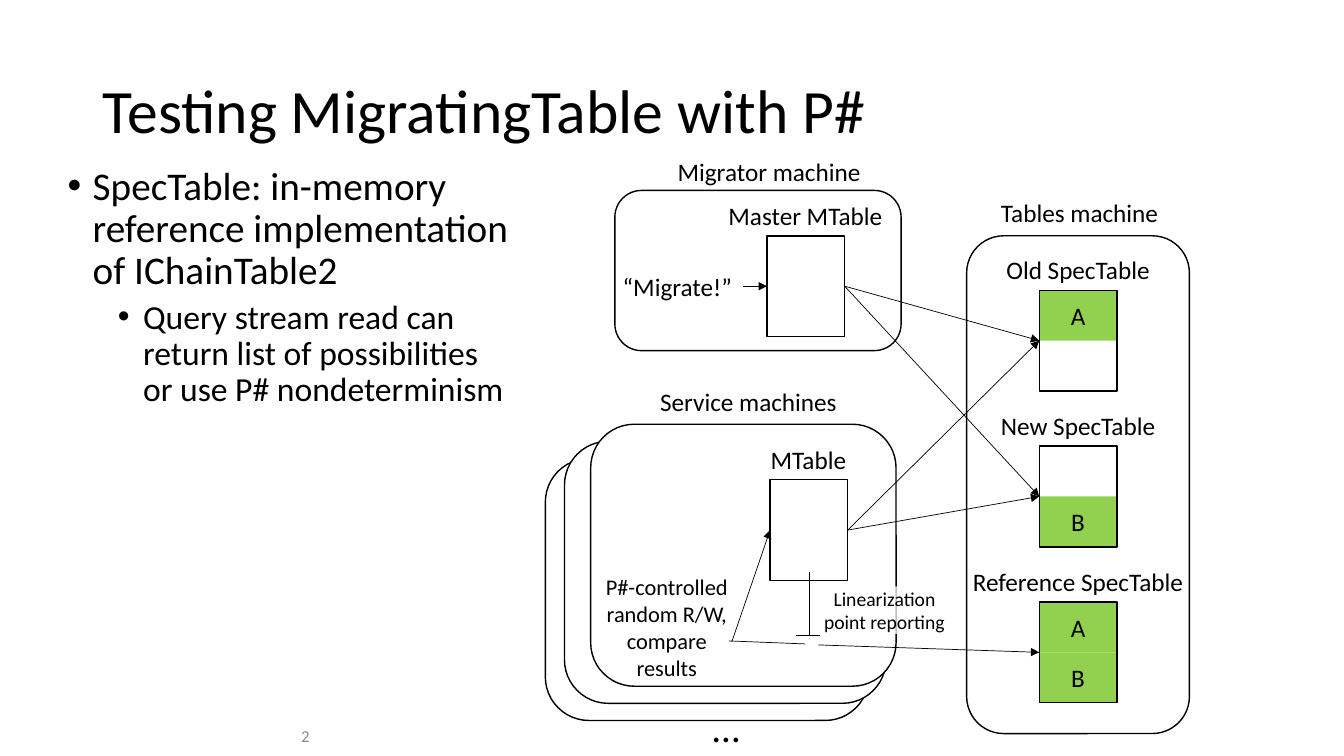
from lxml import etree
from pptx import Presentation
from pptx.dml.color import RGBColor
from pptx.enum.shapes import MSO_CONNECTOR as Link, MSO_SHAPE as Kind
from pptx.enum.text import MSO_ANCHOR as Anchor, MSO_AUTO_SIZE as Fit, PP_ALIGN as Align
from pptx.oxml.ns import qn
from pptx.util import Inches, Pt

BLACK = RGBColor(0, 0, 0)
WHITE = RGBColor(255, 255, 255)
GREEN = RGBColor(0x92, 0xD0, 0x50)
GRAY = RGBColor(0x8C, 0x8C, 0x8C)

deck = Presentation()
deck.slide_width, deck.slide_height = Inches(13.33), Inches(7.5)
slide = deck.slides.add_slide(deck.slide_layouts[1])
shapes = slide.shapes

# Grid of 40 columns by 22.5 rows
UNIT = deck.slide_width / 40


def write(shape, text, size=18, color=BLACK, align=Align.CENTER, anchor=Anchor.TOP,
          wrap=True, more=False, level=0, lead=None, before=0):
    frame = shape.text_frame
    frame.word_wrap, frame.auto_size = wrap, Fit.NONE
    frame.vertical_anchor = anchor
    para = frame.add_paragraph() if more else frame.paragraphs[0]
    para.level, para.alignment = level, align
    para.line_spacing, para.space_before = lead, Pt(before)
    run = para.add_run()
    run.text = text
    run.font.name, run.font.size = "Calibri", Pt(size)
    run.font.color.rgb = color
    return para


def draw(kind, left, top, width, height, fill=None, line=BLACK):
    place = [round(n * UNIT) for n in (left, top, width, height)]
    if kind is None:
        return shapes.add_textbox(*place)
    shape = shapes.add_shape(kind, *place)
    shape.shadow.inherit = False
    for part, color in ((shape.fill, fill), (shape.line.fill, line)):
        if color is None:
            part.background()
        else:
            part.solid()
            part.fore_color.rgb = color
    shape.line.width = Pt(1)
    return shape


# Title and list
title, body = shapes.title, slide.placeholders[1]
for holder, place in ((title, (2.76, 1.2, 34.5, 4.35)), (body, (1.71, 4.8, 13.92, 16.11))):
    holder.left, holder.top, holder.width, holder.height = [round(n * UNIT) for n in place]
write(title, "Testing MigratingTable with P#", size=44, align=Align.LEFT,
      anchor=Anchor.MIDDLE, lead=0.9)
points = [("SpecTable: in-memory reference implementation of IChainTable2", 28, 10, 0.25),
          ("Query stream read can return list of possibilities or use P# nondeterminism", 24, 5, 0.75)]
for level, (text, size, before, indent) in enumerate(points):
    para = write(body, text, size=size, align=Align.LEFT, more=level > 0,
                 level=level, lead=0.9, before=before)
    props = para._p.get_or_add_pPr()
    props.set("marL", str(Inches(indent)))
    props.set("indent", str(-Inches(0.25)))
    etree.SubElement(props, qn("a:buFont")).set("typeface", "Arial")
    etree.SubElement(props, qn("a:buChar")).set("char", "•")

# Machines, with the service cards stacked
for place in ((16.23, 13.65, 9.63, 7.8), (16.8, 13.14, 9.57, 7.8),
              (17.58, 12.63, 9.09, 7.8), (18.3, 5.67, 8.52, 4.77)):
    draw(Kind.ROUNDED_RECTANGLE, *place, fill=WHITE)
draw(Kind.ROUNDED_RECTANGLE, 28.77, 7.02, 6.63, 14.82)

# Spec tables, each of two halves
WIDE, TALL = 2.31, 3
HALF = TALL / 2
SPEC, FIRST, STEP = 30.93, 8.64, 4.64
for row, (name, cells) in enumerate([("Old SpecTable", "A "), ("New SpecTable", " B"),
                                     ("Reference SpecTable", "AB")]):
    top = FIRST + row * STEP
    for half, mark in enumerate(cells):
        if mark != " ":
            cell = draw(Kind.RECTANGLE, SPEC, top + half * HALF, WIDE, HALF, GREEN, None)
            write(cell, mark, anchor=Anchor.MIDDLE)
    draw(Kind.RECTANGLE, SPEC, top, WIDE, TALL)
    write(draw(None, SPEC - 2.31, top - 1.22, 3 * WIDE, 1.2), name, wrap=False)

# Migrating tables
MASTER, TABLE = (22.83, 7.02), (22.92, 14.28)
for spot in (MASTER, TABLE):
    draw(Kind.RECTANGLE, *spot, WIDE, TALL)

# Labels
for text, left, top, width, size in [
        ("Migrator machine", 19.83, 4.5, 6.12, 18), ("Master MTable", 21.36, 5.82, 5.22, 18),
        ("“Migrate!”", 18.21, 7.92, 3.9, 18), ("Service machines", 19.32, 11.34, 5.91, 18),
        ("MTable", 22.62, 13.08, 2.88, 18), ("Tables machine", 29.46, 5.73, 5.34, 18),
        ("…", 20.91, 20.79, 1.41, 28)]:
    write(draw(None, left, top, width, 1.2), text, size=size, wrap=False)
write(draw(None, 17.7, 16.92, 4.29, 3.54),
      "P#-controlled random R/W, compare results", size=16)
write(draw(None, 0.51, 21.3, 9, 1.2), "2", size=12, color=GRAY,
      align=Align.RIGHT, anchor=Anchor.MIDDLE)

# Arrows and plain lines
old, new, both = [(SPEC, FIRST + row * STEP + HALF) for row in range(3)]
goal, start = [(x, y + HALF) for x, y in (MASTER, TABLE)]
links = [((x + WIDE, y), end, True) for x, y in (goal, start) for end in (old, new)]
links += [((22.11, goal[1]), goal, True), ((21.78, 19.11), start, True),
          ((24.36, 19.2), both, True), ((21.69, 19.08), (23.97, 19.17), False),
          ((23.7, 18.9), (24.39, 18.9), False), ((24.09, 18.9), (24.09, 17.04), False)]
for tail, head, arrow in links:
    link = shapes.add_connector(Link.STRAIGHT, *[round(n * UNIT) for n in tail + head])
    link.line.color.rgb, link.line.width = BLACK, Pt(0.5)
    if arrow:
        etree.SubElement(link.line._get_or_add_ln(), qn("a:tailEnd")).set("type", "triangle")
    etree.SubElement(link._element.spPr, qn("a:effectLst"))

# Note over the lines, partly clear
note = draw(Kind.RECTANGLE, 24.48, 17.46, 3.69, 1.41, WHITE, None)
tint = note._element.spPr.find(qn("a:solidFill"))[0]
etree.SubElement(tint, qn("a:alpha")).set("val", "75000")
write(note, "Linearization point reporting", size=14)
frame = note.text_frame
frame.margin_left = frame.margin_right = frame.margin_top = frame.margin_bottom = 0

deck.save("out.pptx")
